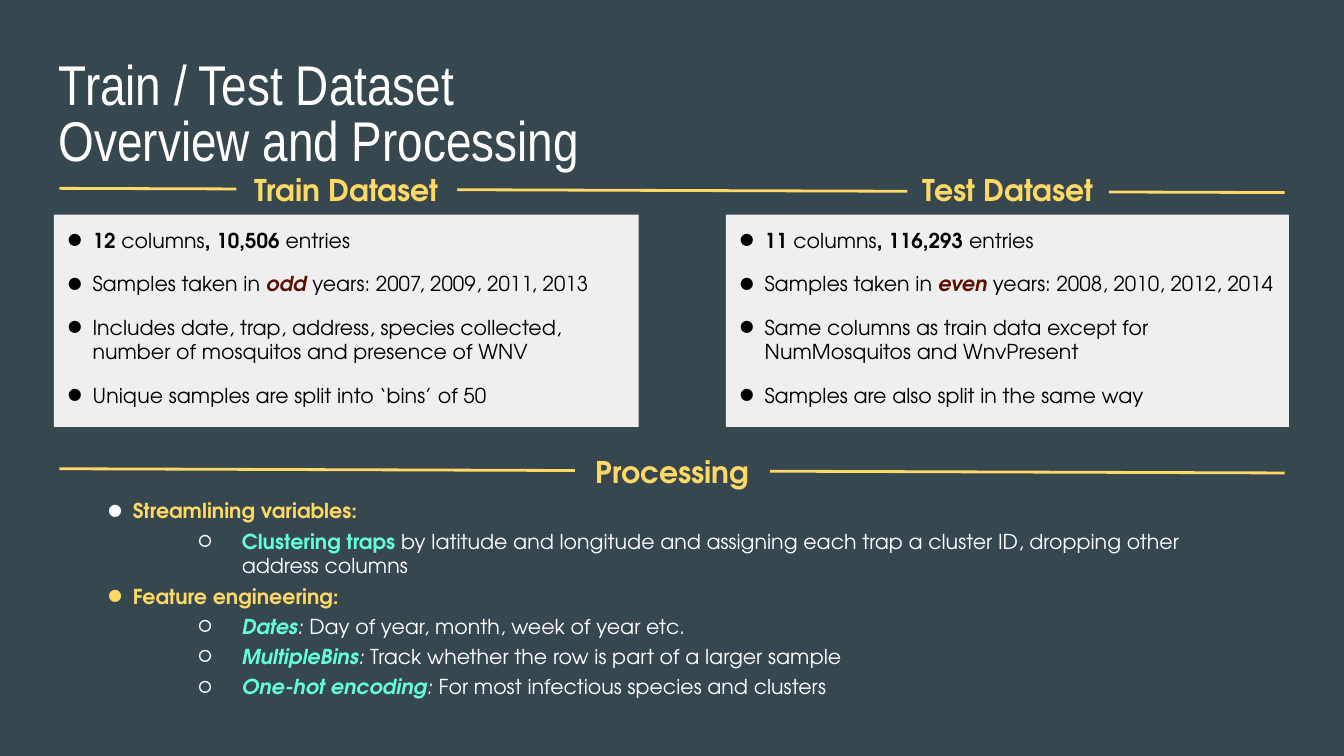
from collections import namedtuple

from lxml.etree import SubElement
from pptx import Presentation
from pptx.dml.color import RGBColor
from pptx.enum.shapes import MSO_CONNECTOR, MSO_SHAPE
from pptx.enum.text import MSO_ANCHOR, PP_ALIGN
from pptx.oxml.ns import qn
from pptx.util import Cm, Pt

COLOURS = {
    "slate": "37474F",
    "yellow": "FFD966",
    "panel": "EFEFEF",
    "black": "000000",
    "white": "FFFFFF",
    "maroon": "5B0F00",
    "mint": "64FFDA",
}
TITLE_FONT = "Arial Narrow"
BODY_FONT = "TeX Gyre Adventor"

Box = namedtuple("Box", "left top width height")
Style = namedtuple("Style", "colour bold italic", defaults=(False, False))
Level = namedtuple("Level", "symbol margin hanging")

PLAIN = Style("black")
STRONG = Style("black", True)
YEARS = Style("maroon", True, True)
HEADING = Style("yellow", True)
LIGHT = Style("white")
COLON = Style("white", False, True)
TERM = Style("mint", True)
FEATURE = Style("mint", True, True)

LEVELS = [Level("●", 0.48, 0.5), Level("○", 2.54, 0.84)]

TRAIN_ITEMS = [
    [("12 ", STRONG), ("columns", PLAIN), (", 10,506 ", STRONG), ("entries", PLAIN)],
    [("Samples taken in ", PLAIN), ("odd ", YEARS), ("years: 2007, 2009, 2011, 2013", PLAIN)],
    [("Includes date, trap, address, species collected, "
      "number of mosquitos and presence of WNV", PLAIN)],
    [("Unique samples are split into ‘bins’ of 50", PLAIN)],
]
TEST_ITEMS = [
    [("11 ", STRONG), ("columns", PLAIN), (", 116,293 ", STRONG), ("entries", PLAIN)],
    [("Samples taken in ", PLAIN), ("even", YEARS), (" years: 2008, 2010, 2012, 2014", PLAIN)],
    [("Same columns as train data except for NumMosquitos and WnvPresent", PLAIN)],
    [("Samples are also split in the same way", PLAIN)],
]
PROCESSING_ITEMS = [
    (0, "white", [("Streamlining variables:", HEADING)]),
    (1, "white", [("Clustering traps", TERM),
                  (" by latitude and longitude and assigning each trap a cluster ID, "
                   "dropping other address columns", LIGHT)]),
    (0, "yellow", [("Feature engineering:", HEADING)]),
    (1, "white", [("Dates", FEATURE), (":", COLON),
                  (" Day of year, month, week of year etc.", LIGHT)]),
    (1, "white", [("MultipleBins", FEATURE), (":", COLON),
                  (" Track whether the row is part of a larger sample", LIGHT)]),
    (1, "white", [("One-hot encoding", FEATURE), (": ", COLON),
                  ("For most infectious species and clusters", LIGHT)]),
]


def colour(name):
    return RGBColor.from_string(COLOURS[name])


def lengths(box):
    return [Cm(value) for value in box]


def set_frame(shape, anchor):
    frame = shape.text_frame
    frame.word_wrap = True
    frame.vertical_anchor = anchor
    frame.margin_left = frame.margin_right = Cm(0.25)
    frame.margin_top = frame.margin_bottom = Cm(0.25)
    return frame


def add_span(para, text, style, size, font=BODY_FONT):
    span = para.add_run()
    span.text = text
    span.font.name = font
    span.font.size = Pt(size)
    span.font.bold = style.bold
    span.font.italic = style.italic
    span.font.color.rgb = colour(style.colour)


def add_text(page, box, anchor):
    return set_frame(page.shapes.add_textbox(*lengths(box)), anchor)


def add_rectangle(page, box, fill, anchor):
    shape = page.shapes.add_shape(MSO_SHAPE.RECTANGLE, *lengths(box))
    shape.shadow.inherit = False
    shape.fill.solid()
    shape.fill.fore_color.rgb = colour(fill)
    shape.line.fill.background()
    return set_frame(shape, anchor)


def add_bullet(para, level, bullet_colour):
    properties = para._p.get_or_add_pPr()
    properties.set("marL", str(Cm(level.margin)))
    properties.set("indent", str(-Cm(level.hanging)))
    fill = SubElement(properties, qn("a:buClr"))
    SubElement(fill, qn("a:srgbClr"), val=COLOURS[bullet_colour])
    SubElement(properties, qn("a:buFont"), typeface=BODY_FONT)
    SubElement(properties, qn("a:buChar"), char=level.symbol)


def fill_list(frame, items, gap):
    for index, (depth, bullet_colour, spans) in enumerate(items):
        para = frame.add_paragraph() if index else frame.paragraphs[0]
        para.alignment = PP_ALIGN.LEFT
        para.level = depth
        add_bullet(para, LEVELS[depth], bullet_colour)
        if index:
            para.space_before = Pt(gap)
        for text, style in spans:
            add_span(para, text, style, 11)


def add_title(page, box):
    first_height = 1.6
    upper = box._replace(height=first_height)
    lower = box._replace(top=box.top + first_height, height=box.height - first_height)
    for text, part, anchor in [
        ("Train / Test Dataset", upper, MSO_ANCHOR.TOP),
        ("Overview and Processing", lower, MSO_ANCHOR.MIDDLE),
    ]:
        frame = add_text(page, part, anchor)
        add_span(frame.paragraphs[0], text, LIGHT, 30, TITLE_FONT)


def add_rule(page, box):
    left, top, width, height = lengths(box)
    rule = page.shapes.add_connector(
        MSO_CONNECTOR.STRAIGHT, left, top, left + width, top + height)
    rule.line.color.rgb = colour("yellow")
    rule.line.width = Pt(1.5)
    SubElement(rule._element.spPr, qn("a:effectLst"))


def add_heading(page, box, text):
    para = add_rectangle(page, box, "slate", MSO_ANCHOR.MIDDLE).paragraphs[0]
    para.alignment = PP_ALIGN.CENTER
    add_span(para, text, HEADING, 16)


def add_dataset(page, box, heading, heading_left, heading_width, items):
    add_heading(page, Box(heading_left, box.top - 0.83, heading_width, 0.69), heading)
    frame = add_rectangle(page, box, "panel", MSO_ANCHOR.TOP)
    fill_list(frame, [(0, "black", spans) for spans in items], 10)


def add_processing(page, box):
    add_rule(page, Box(box.left, box.top + 0.45, box.width, 0.08))
    add_heading(page, Box(box.left + 9.75, box.top, 3.68, 0.99), "Processing")
    body = Box(box.left + 0.66, box.top + 0.76, box.width - 1.32, box.height - 0.76)
    fill_list(add_text(page, body, MSO_ANCHOR.TOP), PROCESSING_ITEMS, 3)


def main():
    deck = Presentation()
    deck.slide_width, deck.slide_height = Cm(25.4), Cm(14.29)
    page = deck.slides.add_slide(deck.slide_layouts[6])
    page.background.fill.solid()
    page.background.fill.fore_color.rgb = colour("slate")

    add_rule(page, Box(1.12, 3.56, 23.16, 0.08))
    add_title(page, Box(0.86, 0.69, 23.67, 2.29))
    add_dataset(page, Box(1.02, 4.06, 11.05, 4.01), "Train Dataset", 4.47, 4.17, TRAIN_ITEMS)
    add_dataset(page, Box(13.72, 4.06, 10.64, 4.01), "Test Dataset", 17.15, 3.81, TEST_ITEMS)
    add_processing(page, Box(1.12, 8.41, 23.16, 5.1))
    deck.save("out.pptx")


if __name__ == "__main__":
    main()
